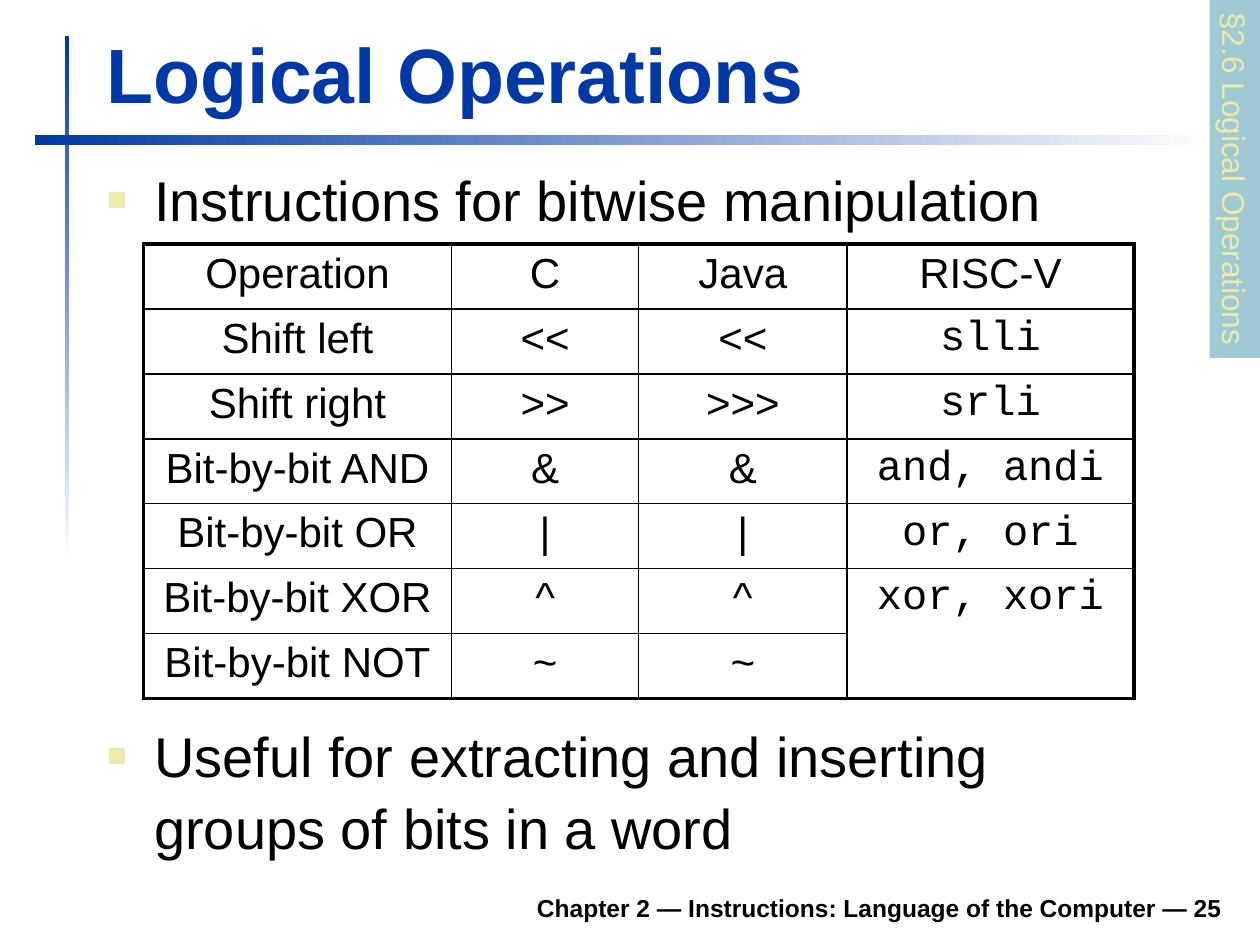
from dataclasses import dataclass

from lxml import etree
from pptx import Presentation
from pptx.dml.color import RGBColor
from pptx.enum import shapes, text
from pptx.oxml import ns
from pptx.util import Pt


@dataclass(frozen=True)
class Theme:
    blue: str = "0039A6"
    white: str = "FFFFFF"
    black: str = "000000"
    sand: str = "ECEAAC"
    teal: str = "9FCAD3"
    font: str = "Arial"
    code_font: str = "Courier New"
    title: int = 44
    body: int = 32
    cell: int = 24
    tab: int = 18
    footer: int = 14


THEME = Theme()
OUTER, HEADER, INNER = 2.25, 1.5, 1

ROWS = [
    ("Operation", "C", "Java", "RISC-V"),
    ("Shift left", "<<", "<<", "slli"),
    ("Shift right", ">>", ">>>", "srli"),
    ("Bit-by-bit AND", "&", "&", "and, andi"),
    ("Bit-by-bit OR", "|", "|", "or, ori"),
    ("Bit-by-bit XOR", "^", "^", "xor, xori"),
    ("Bit-by-bit NOT", "~", "~", ""),
]
COLUMN_WIDTHS = (176, 107, 119, 164)
ROW_HEIGHT = 37.1


def color(value):
    return RGBColor.from_string(value)


def add_child(parent, tag, **attributes):
    return etree.SubElement(parent, ns.qn(tag), attributes)


def write(frame, content, size, fill=THEME.black, font=THEME.font, bold=False,
          align=text.PP_ALIGN.LEFT, bullet=False):
    """Fill the first paragraph of a text frame with formatted text."""
    para = frame.paragraphs[0]
    para.alignment = align
    if bullet:
        para.line_spacing = 1.07
        add_bullet(para)
    span = para.add_run()
    span.text = content
    span.font.name = font
    span.font.size = Pt(size)
    span.font.bold = bold
    span.font.color.rgb = color(fill)


def add_bullet(para):
    properties = para._p.get_or_add_pPr()
    properties.set("marL", str(Pt(27)))
    properties.set("indent", str(Pt(-27)))
    bullet_color = add_child(properties, "a:buClr")
    add_child(bullet_color, "a:srgbClr", val=THEME.sand)
    add_child(properties, "a:buSzPct", val="60000")
    add_child(properties, "a:buFont", typeface=THEME.font)
    add_child(properties, "a:buChar", char="■")


def add_text(page, bounds, content, size, anchor=text.MSO_ANCHOR.TOP, **style):
    box = page.shapes.add_textbox(*map(Pt, bounds))
    box.text_frame.word_wrap = True
    box.text_frame.vertical_anchor = anchor
    write(box.text_frame, content, size, **style)


def add_rectangle(page, bounds):
    box = page.shapes.add_shape(shapes.MSO_SHAPE.RECTANGLE, *map(Pt, bounds))
    box.shadow.inherit = False
    box.line.fill.background()
    return box


def add_fading_bar(page, bounds, angle):
    bar = add_rectangle(page, bounds)
    bar.fill.gradient()
    bar.fill.gradient_angle = angle
    for stop, value in zip(bar.fill.gradient_stops, (THEME.blue, THEME.white)):
        stop.color.rgb = color(value)


def add_section_tab(page, content):
    tab = add_rectangle(page, (603.3, 87.9, 204.5, 28.8))
    tab.rotation = 90
    tab.fill.solid()
    tab.fill.fore_color.rgb = color(THEME.teal)
    tab.text_frame.word_wrap = False
    tab.text_frame.vertical_anchor = text.MSO_ANCHOR.TOP
    write(tab.text_frame, content, THEME.tab, fill=THEME.sand)


def add_borders(cell, row, column):
    """Heavy outer frame, medium rule under the header, thin lines inside."""
    def horizontal(line):
        return {0: OUTER, 1: HEADER, len(ROWS): OUTER}.get(line, INNER)

    def vertical(line):
        return OUTER if line in (0, len(COLUMN_WIDTHS)) else INNER

    widths = {"L": vertical(column), "R": vertical(column + 1)}
    if not cell.is_spanned:
        widths["T"] = horizontal(row)
    height = cell.span_height if cell.is_merge_origin else 1
    widths["B"] = horizontal(row + height)
    properties = cell._tc.get_or_add_tcPr()
    for side, width in widths.items():
        line = add_child(properties, f"a:ln{side}", w=str(Pt(width)))
        add_child(add_child(line, "a:solidFill"), "a:srgbClr", val=THEME.black)


def add_operations_table(page, left, top):
    table = page.shapes.add_table(
        len(ROWS), len(COLUMN_WIDTHS), Pt(left), Pt(top),
        Pt(sum(COLUMN_WIDTHS)), Pt(ROW_HEIGHT * len(ROWS))).table
    table.first_row = table.horz_banding = False
    for column, width in zip(table.columns, COLUMN_WIDTHS):
        column.width = Pt(width)
    last = len(COLUMN_WIDTHS) - 1
    table.cell(5, last).merge(table.cell(6, last))
    for row, contents in enumerate(ROWS):
        table.rows[row].height = Pt(ROW_HEIGHT)
        for column, content in enumerate(contents):
            cell = table.cell(row, column)
            add_borders(cell, row, column)
            cell.fill.background()
            if content:
                is_code = row > 0 and column == last
                write(cell.text_frame, content, THEME.cell,
                      font=THEME.code_font if is_code else THEME.font,
                      align=text.PP_ALIGN.CENTER)


def main():
    deck = Presentation()
    deck.slide_width, deck.slide_height = Pt(720), Pt(540)
    page = deck.slides.add_slide(deck.slide_layouts[6])

    add_fading_bar(page, (37, 20.5, 2.5, 300), angle=270)
    add_fading_bar(page, (20, 77, 675, 6), angle=0)
    add_text(page, (133, 502.5, 572.5, 28), 
             "Chapter 2 — Instructions: Language of the Computer — 25",
             THEME.footer, anchor=text.MSO_ANCHOR.BOTTOM, bold=True,
             align=text.PP_ALIGN.RIGHT)
    add_text(page, (54, 11.5, 650, 60), "Logical Operations", THEME.title,
             anchor=text.MSO_ANCHOR.BOTTOM, fill=THEME.blue, bold=True)
    add_text(page, (54, 88.5, 651.5, 55),
             "Instructions for bitwise manipulation", THEME.body, bullet=True)
    add_operations_table(page, 82, 139.5)
    add_text(page, (54, 406, 612, 73.5),
             "Useful for extracting and inserting groups of bits in a word",
             THEME.body, bullet=True)
    add_section_tab(page, "§2.6 Logical Operations")

    deck.save("out.pptx")


if __name__ == "__main__":
    main()
